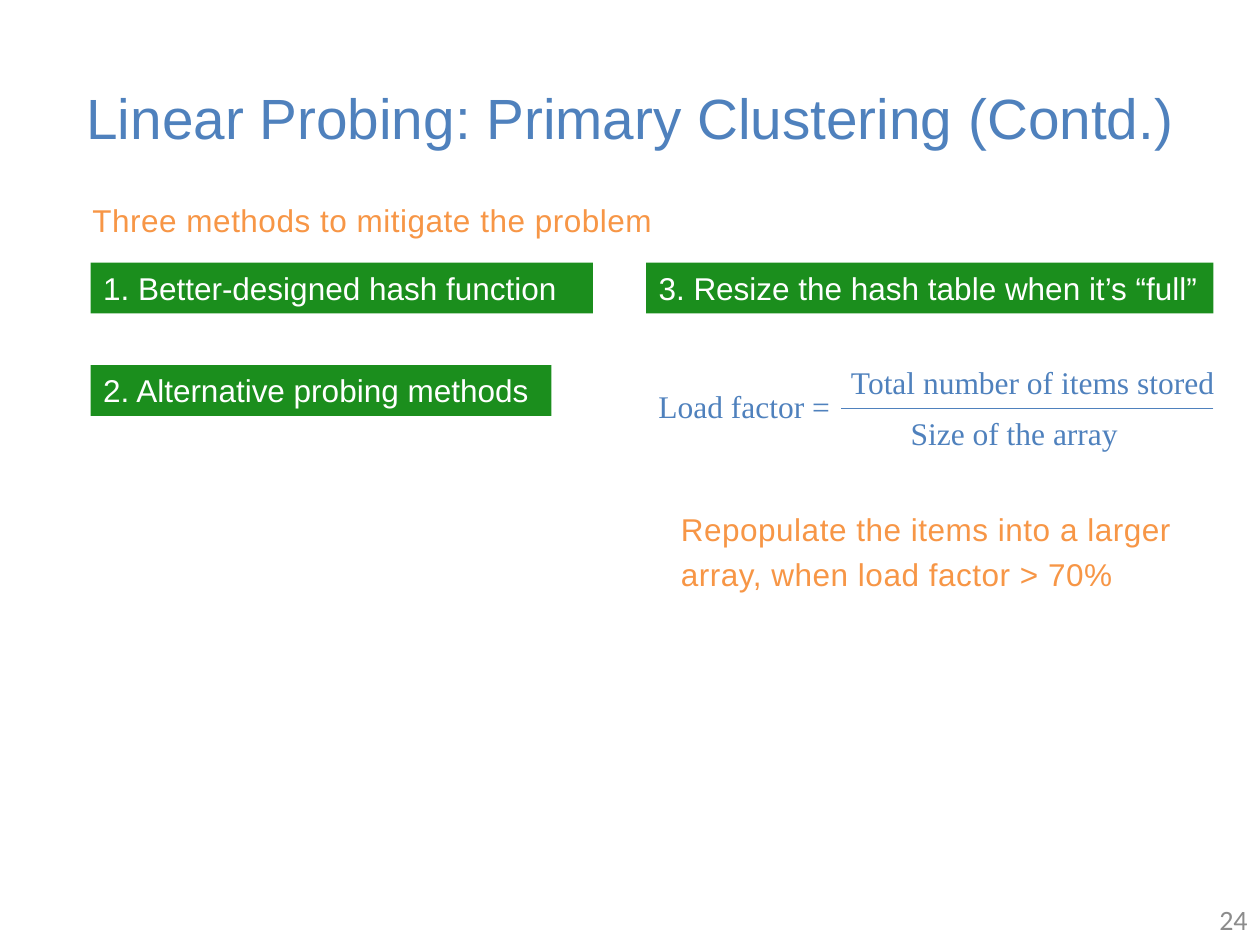
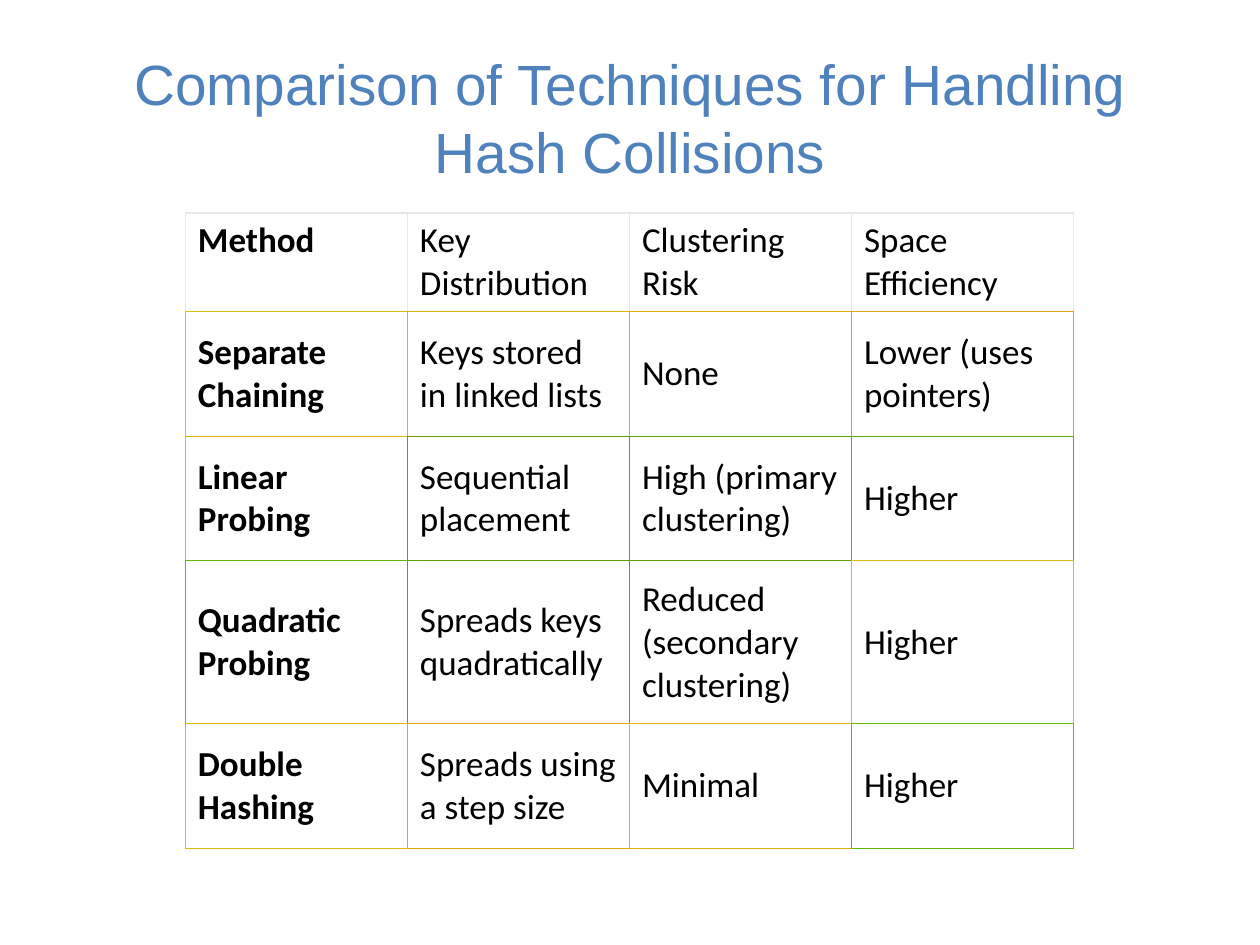
from dataclasses import dataclass, field
from typing import Any

from lxml.etree import SubElement
from pptx import Presentation
from pptx.dml.color import RGBColor
from pptx.enum.shapes import MSO_CONNECTOR, MSO_SHAPE
from pptx.enum.text import MSO_ANCHOR, MSO_AUTO_SIZE, PP_ALIGN
from pptx.oxml.ns import qn
from pptx.util import Pt


@dataclass(frozen=True)
class Theme:
    blue: str = "4F81BD"
    orange: str = "F79646"
    green: str = "1B8E1D"
    white: str = "FFFFFF"
    black: str = "000000"
    grey: str = "8C8C8C"
    header_edge: str = "E5E7EB"
    sans: str = "Arial"
    serif: str = "Times New Roman"
    plain: str = "Calibri"
    title_size: float = 32.4
    text_size: float = 18
    table_size: float = 20
    number_size: float = 16
    header_line: float = 1
    cell_line: float = 0.6


THEME = Theme()


@dataclass(frozen=True)
class Style:
    font: str
    size: float
    color: str
    fill: str | None = None
    tracking: int = 0
    frame: dict[str, Any] = field(default_factory=dict)
    paragraph: dict[str, Any] = field(default_factory=dict)
    left_indent: float = 0


@dataclass(frozen=True)
class Note:
    text: str
    style: Style
    left: float
    top: float
    width: float
    height: float


GROW = {"word_wrap": True, "auto_size": MSO_AUTO_SIZE.SHAPE_TO_FIT_TEXT}
HEADING = Style(
    THEME.sans, THEME.title_size, THEME.blue,
    frame={"auto_size": MSO_AUTO_SIZE.NONE, "vertical_anchor": MSO_ANCHOR.MIDDLE},
    paragraph={"alignment": PP_ALIGN.CENTER},
)
METHOD = Style(
    THEME.sans, THEME.text_size, THEME.white, fill=THEME.green,
    frame={**GROW, "vertical_anchor": MSO_ANCHOR.TOP},
    paragraph={"alignment": PP_ALIGN.LEFT},
)
REMARK = Style(
    THEME.sans, THEME.text_size, THEME.orange, tracking=30,
    frame={**GROW, "margin_left": 0, "margin_top": Pt(2), "margin_right": 0, "margin_bottom": 0},
    paragraph={"line_spacing": 1.2}, left_indent=1,
)
FORMULA = Style(THEME.serif, THEME.text_size, THEME.blue, frame={**GROW, "word_wrap": False})
NUMBER = Style(
    THEME.plain, THEME.number_size, THEME.grey,
    frame={"word_wrap": True, "vertical_anchor": MSO_ANCHOR.MIDDLE},
    paragraph={"alignment": PP_ALIGN.RIGHT},
)

LEFT_COLUMN, RIGHT_COLUMN = 51.8, 369.2
BAR_HEIGHT = 29.1
FIRST_ROW, SECOND_ROW = 150, 208.6
FRACTION_BAR = 233.3

CLUSTERING_NOTES = [
    Note("Three methods to mitigate the problem", REMARK, LEFT_COLUMN, 108.7, 353, 24.5),
    Note("1. Better-designed hash function", METHOD, LEFT_COLUMN, FIRST_ROW, 287, BAR_HEIGHT),
    Note("2. Alternative probing methods", METHOD, LEFT_COLUMN, SECOND_ROW, 263.3, BAR_HEIGHT),
    Note("3. Resize the hash table when it’s “full”", METHOD, RIGHT_COLUMN, FIRST_ROW, 324.2, BAR_HEIGHT),
    Note("Load factor =", FORMULA, RIGHT_COLUMN, 217.6, 113.6, BAR_HEIGHT),
    Note("Total number of items stored", FORMULA, 479.2, 204, 224.6, BAR_HEIGHT),
    Note("Size of the array", FORMULA, 513.3, FRACTION_BAR, 133.9, BAR_HEIGHT),
    Note("Repopulate the items into a larger array, when load factor > 70%", REMARK, 388.1, 285, 305.3, 51),
    Note("24", NUMBER, 674.6, 511.2, 45.4, 28.8),
]

COMPARISON = [
    ["Method", "Key Distribution", "Clustering Risk", "Space Efficiency"],
    ["Separate Chaining", "Keys stored in linked lists", "None", "Lower (uses pointers)"],
    ["Linear Probing", "Sequential placement", "High (primary clustering)", "Higher"],
    ["Quadratic Probing", "Spreads keys quadratically", "Reduced (secondary clustering)", "Higher"],
    ["Double Hashing", "Spreads using a step size", "Minimal", "Higher"],
]
EDGE_COLORS = [
    [THEME.header_edge] * 4,
    ["E0BD0A", "E0B30A", "E0AC0A", "E0A50A"],
    ["E0B60A", "60A10A", "60A20A", "60AC0A"],
    ["60BA0A", "60A10A", "60A10A", "E0BB0A"],
    ["E0BA0A", "E0A90A", "E0B50A", "60BB0A"],
]
ROW_HEIGHTS = [50, 71.3, 71.3, 93, 71.3]
COLUMN_WIDTH = 126.9


def rgb(color: str) -> RGBColor:
    return RGBColor.from_string(color)


def apply(target: Any, values: dict[str, Any]) -> None:
    for key, value in values.items():
        setattr(target, key, value)


def write(frame: Any, text: str, style: Style, bold: bool = False) -> None:
    apply(frame, style.frame)
    paragraph = frame.paragraphs[0]
    apply(paragraph, style.paragraph)
    if style.left_indent:
        apply_indent = {"marL": str(Pt(style.left_indent)), "indent": "0"}
        paragraph._p.get_or_add_pPr().attrib.update(apply_indent)
    run = paragraph.add_run()
    run.text = text
    apply(run.font, {"name": style.font, "size": Pt(style.size), "bold": bold})
    run.font.color.rgb = rgb(style.color)
    if style.tracking:
        run._r.get_or_add_rPr().set("spc", str(style.tracking))


def add_titled_slide(deck: Any, title: str) -> Any:
    slide = deck.slides.add_slide(deck.slide_layouts[5])
    heading = slide.shapes.title
    place = {"left": Pt(36), "top": Pt(21.6), "width": Pt(648), "height": Pt(90)}
    apply(heading, place)
    write(heading.text_frame, title, HEADING)
    return slide


def add_note(slide: Any, note: Note) -> None:
    place = [Pt(length) for length in (note.left, note.top, note.width, note.height)]
    if note.style.fill:
        box = slide.shapes.add_shape(MSO_SHAPE.RECTANGLE, *place)
        box.shadow.inherit = False
        box.fill.solid()
        box.fill.fore_color.rgb = rgb(note.style.fill)
        box.line.fill.background()
    else:
        box = slide.shapes.add_textbox(*place)
    write(box.text_frame, note.text, note.style)


def add_fraction_bar(slide: Any) -> None:
    bar = slide.shapes.add_connector(
        MSO_CONNECTOR.STRAIGHT, Pt(693.4), Pt(FRACTION_BAR), Pt(480.7), Pt(FRACTION_BAR)
    )
    bar.line.color.rgb = rgb(THEME.blue)
    bar.line.width = Pt(0.75)
    SubElement(bar._element.spPr, qn("a:effectLst"))


def add_edge(cell: Any, side: str, color: str, width: float) -> None:
    edge = SubElement(cell._tc.get_or_add_tcPr(), qn(f"a:ln{side}"), w=str(Pt(width)))
    fill = SubElement(edge, qn("a:solidFill"))
    SubElement(fill, qn("a:srgbClr"), val=color)


def line_width(row: int) -> float:
    return THEME.cell_line if row else THEME.header_line


def add_comparison(slide: Any) -> None:
    row_count, column_count = len(COMPARISON), len(COMPARISON[0])
    table = slide.shapes.add_table(
        row_count, column_count, Pt(105.9), Pt(121.7),
        Pt(COLUMN_WIDTH * column_count), Pt(sum(ROW_HEIGHTS)),
    ).table
    apply(table, {"first_row": False, "horz_banding": False})
    for column in table.columns:
        column.width = Pt(COLUMN_WIDTH)
    entry = Style(THEME.plain, THEME.table_size, THEME.black)
    for row, texts in enumerate(COMPARISON):
        table.rows[row].height = Pt(ROW_HEIGHTS[row])
        below = min(row + 1, row_count - 1)
        for column, text in enumerate(texts):
            cell = table.cell(row, column)
            cell.vertical_anchor = MSO_ANCHOR.MIDDLE if row else MSO_ANCHOR.TOP
            own = EDGE_COLORS[row][column]
            beside = EDGE_COLORS[row][min(column + 1, column_count - 1)]
            add_edge(cell, "L", own, line_width(row))
            add_edge(cell, "R", beside, line_width(row))
            add_edge(cell, "T", own, line_width(row))
            add_edge(cell, "B", EDGE_COLORS[below][column], line_width(below))
            cell.fill.background()
            write(cell.text_frame, text, entry, bold=column == 0)


def main() -> None:
    deck = Presentation()
    apply(deck, {"slide_width": Pt(720), "slide_height": Pt(540)})

    clustering = add_titled_slide(deck, "Linear Probing: Primary Clustering (Contd.)")
    for note in CLUSTERING_NOTES:
        add_note(clustering, note)
    add_fraction_bar(clustering)

    comparison = add_titled_slide(deck, "Comparison of Techniques for Handling Hash Collisions")
    add_comparison(comparison)

    deck.save("out.pptx")


if __name__ == "__main__":
    main()
